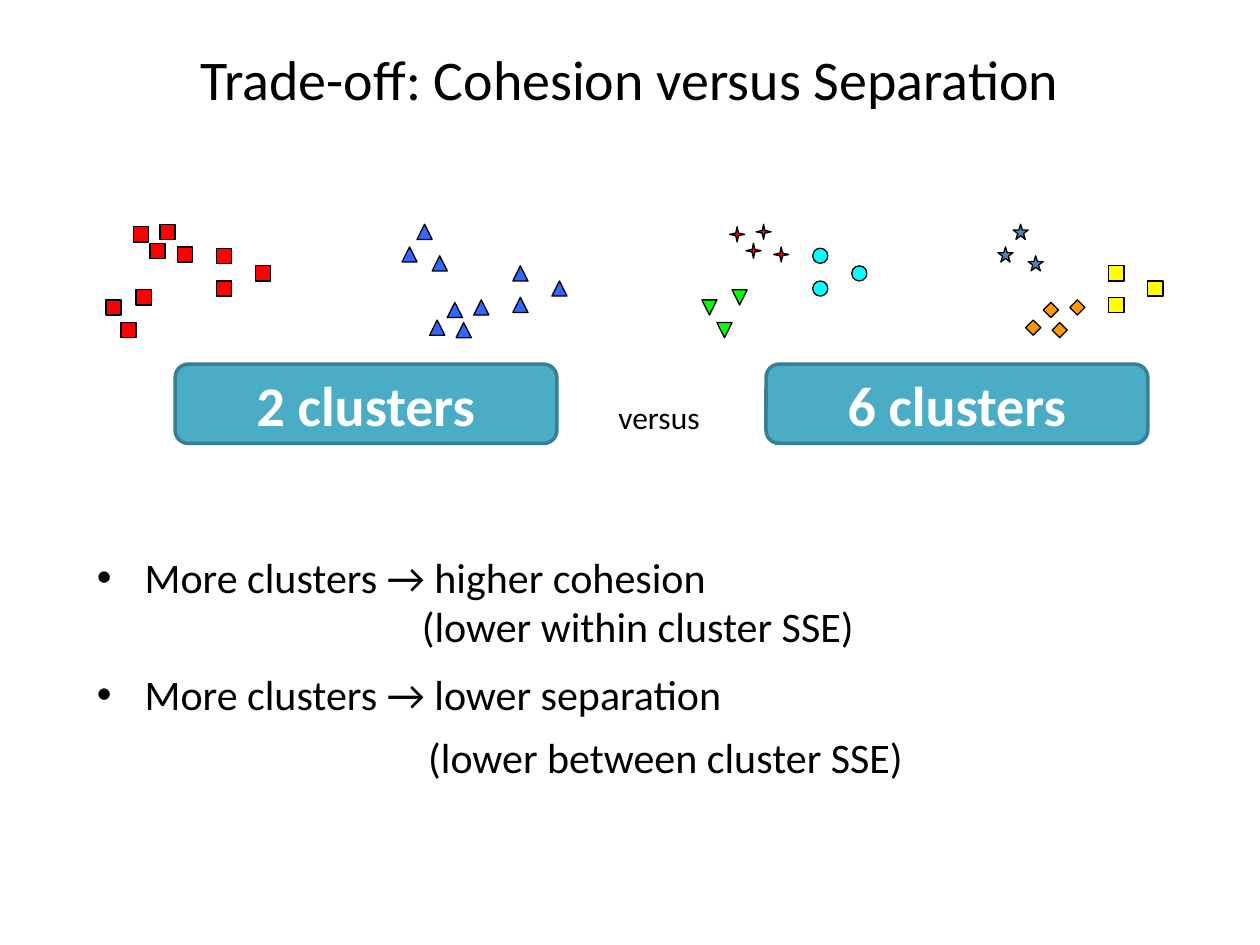
import pptx
import pptx.util
import pptx.dml.color
import pptx.enum.shapes
import pptx.enum.text
import pptx.oxml.ns
import lxml.etree
import dataclasses

PX = 9144
KIND = pptx.enum.shapes.MSO_SHAPE
ALIGN = pptx.enum.text.PP_ALIGN
ANCHOR = pptx.enum.text.MSO_ANCHOR


@dataclasses.dataclass
class Theme:
    font: str = "Calibri"
    ink: str = "000000"
    white: str = "FFFFFF"
    blue: str = "3366FF"
    red: str = "FF0000"
    orange: str = "FF9900"
    steel: str = "4F81BD"
    yellow: str = "FFFF00"
    green: str = "00FF00"
    cyan: str = "00FFFF"
    label_fill: str = "4BACC6"
    label_line: str = "377F92"
    heading: int = 32
    body: int = 24
    small: int = 18


theme = Theme()


def write(para, text, size, color, bold=False):
    span = para.add_run()
    span.text = text
    span.font.name = theme.font
    span.font.size = pptx.util.Pt(size)
    span.font.bold = bold
    span.font.color.rgb = pptx.dml.color.RGBColor.from_string(color)


def add_shape(kind, left, top, width, height, fill, line, weight):
    shape = page.shapes.add_shape(kind, left * PX, top * PX, width * PX, height * PX)
    shape.shadow.inherit = False
    shape.fill.solid()
    shape.fill.fore_color.rgb = pptx.dml.color.RGBColor.from_string(fill)
    shape.line.color.rgb = pptx.dml.color.RGBColor.from_string(line)
    shape.line.width = pptx.util.Pt(weight)
    return shape


deck = pptx.Presentation()
deck.slide_width = 1000 * PX
deck.slide_height = 750 * PX
page = deck.slides.add_slide(deck.slide_layouts[5])

title = page.shapes.title
title.left, title.top, title.width, title.height = 50 * PX, 30 * PX, 900 * PX, 125 * PX
title.text_frame.auto_size = pptx.enum.text.MSO_AUTO_SIZE.NONE
title.text_frame.vertical_anchor = ANCHOR.TOP
para = title.text_frame.paragraphs[0]
para.alignment = ALIGN.CENTER
write(para, "Trade-off: Cohesion versus Separation", theme.heading, theme.ink)

body = page.shapes.add_textbox(67 * PX, 433 * PX, 900 * PX, 348 * PX)
body.text_frame.word_wrap = True
bullets = [("More clusters → higher cohesion", 0), ("More clusters → lower separation", 38)]
for number, (text, gap) in enumerate(bullets):
    para = body.text_frame.add_paragraph() if number else body.text_frame.paragraphs[0]
    para.space_before = pptx.util.Pt(gap)
    settings = para._p.get_or_add_pPr()
    settings.set("marL", str(38 * PX))
    settings.set("indent", str(-38 * PX))
    font = lxml.etree.SubElement(settings, pptx.oxml.ns.qn("a:buFont"))
    font.set("typeface", "Arial")
    mark = lxml.etree.SubElement(settings, pptx.oxml.ns.qn("a:buChar"))
    mark.set("char", "•")
    write(para, text, theme.body, theme.ink)

notes = [
    ("(lower within cluster SSE)", 325, 472, 466, 50, theme.body, True),
    ("(lower between cluster SSE)", 330, 576, 538, 50, theme.body, True),
    ("versus", 481, 311, 85, 40, theme.small, False),
]
for text, left, top, width, height, size, wrap in notes:
    box = page.shapes.add_textbox(left * PX, top * PX, width * PX, height * PX)
    box.text_frame.word_wrap = wrap
    write(box.text_frame.paragraphs[0], text, size, theme.ink)

clusters = {
    "upper left": [(141, 196), (106, 180), (127, 178), (119, 193)],
    "lower left": [(108, 230), (84, 238), (96, 256)],
    "middle left": [(172, 197), (203, 211), (172, 223)],
    "lower right": [(376, 238), (341, 254), (362, 256), (355, 240)],
    "upper right": [(343, 203), (319, 196), (331, 178)],
    "far right": [(407, 236), (438, 223), (407, 211)],
}
red_square = (KIND.RECTANGLE, theme.red, 0)
blue_triangle = (KIND.ISOSCELES_TRIANGLE, theme.blue, 0)
two_markers = [red_square] * 3 + [blue_triangle] * 3
six_markers = [
    (KIND.STAR_4_POINT, theme.red, 0),
    (KIND.ISOSCELES_TRIANGLE, theme.green, 180),
    (KIND.OVAL, theme.cyan, 0),
    (KIND.DIAMOND, theme.orange, 0),
    (KIND.STAR_5_POINT, theme.steel, 0),
    (KIND.RECTANGLE, theme.yellow, 0),
]
panels = [("2 clusters", 139, 0, two_markers), ("6 clusters", 608, 473, six_markers)]
for caption, label_left, shift, markers in panels:
    for points, (kind, color, turn) in zip(clusters.values(), markers):
        for left, top in points:
            marker = add_shape(kind, left + shift, top, 12, 12, color, theme.ink, 0.75)
            marker.rotation = turn
            if kind == KIND.STAR_4_POINT:
                marker.adjustments[0] = 0.125
    label = add_shape(KIND.ROUNDED_RECTANGLE, label_left, 289, 303, 63,
                      theme.label_fill, theme.label_line, 2)
    label.text_frame.vertical_anchor = ANCHOR.MIDDLE
    para = label.text_frame.paragraphs[0]
    para.alignment = ALIGN.CENTER
    write(para, caption, theme.heading, theme.white, True)

deck.save("out.pptx")
